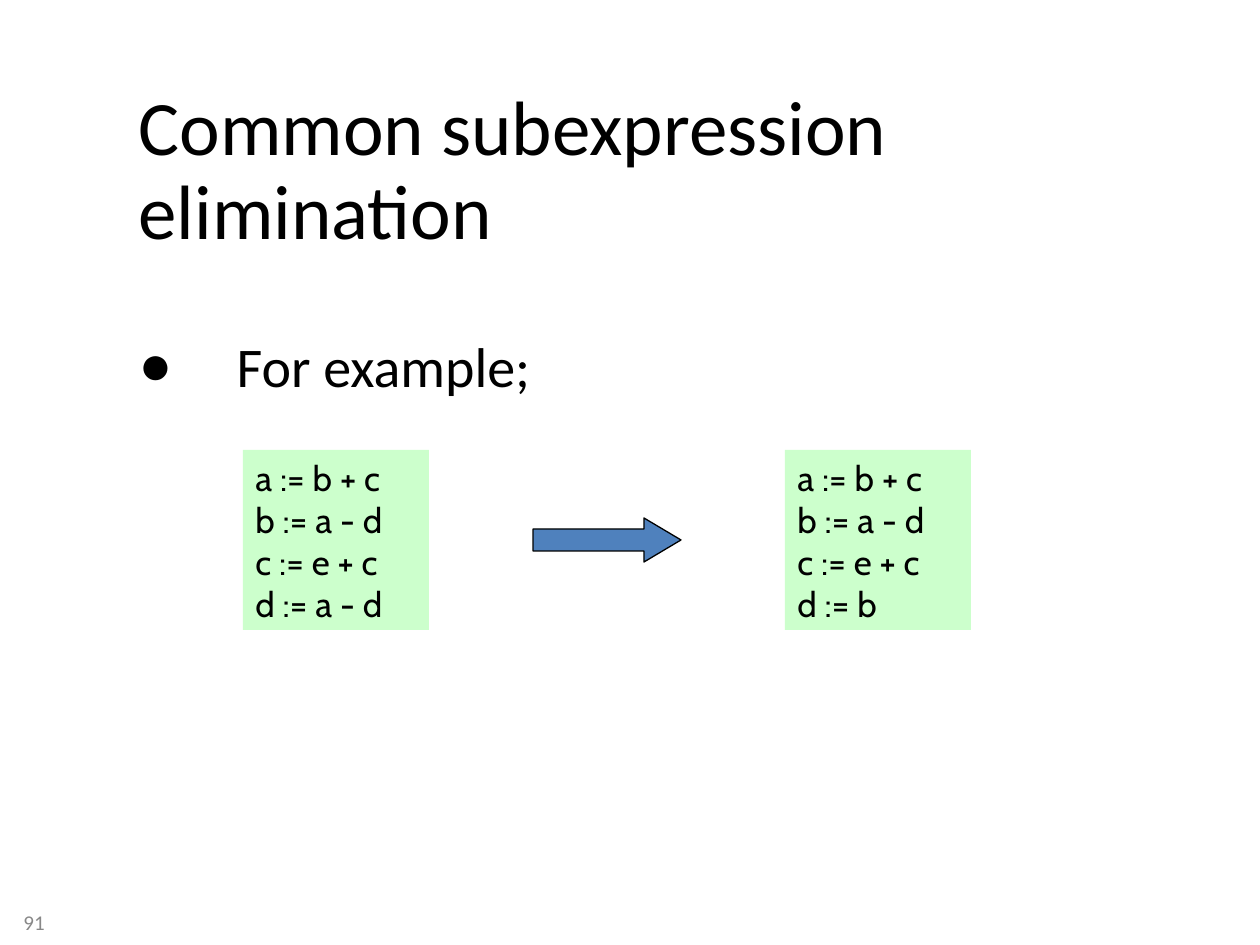
from lxml.etree import SubElement
from pptx import Presentation
from pptx.dml.color import RGBColor
from pptx.enum.shapes import MSO_SHAPE as Preset
from pptx.enum.text import MSO_ANCHOR as Anchor, MSO_AUTO_SIZE as AutoSize, PP_ALIGN as Align
from pptx.oxml.ns import qn
from pptx.util import Emu, Pt

EMU_PER_PX = 914400 / 126
BLACK = RGBColor(0x00, 0x00, 0x00)
GRAY = RGBColor(0x88, 0x88, 0x88)
GREEN = RGBColor(0xCC, 0xFF, 0xCC)
BLUE = RGBColor(0x4F, 0x81, 0xBD)


def px(length):
    return Emu(round(length * EMU_PER_PX))


class SlideBuilder:
    text_font = "Calibri"
    code_font = "Cabin"

    def __init__(self, slide):
        self.slide = slide

    def fill_text(self, shape, lines, size, font=text_font, color=BLACK, anchor=Anchor.TOP):
        frame = shape.text_frame
        frame.word_wrap = True
        frame.auto_size = AutoSize.NONE
        frame.vertical_anchor = anchor
        for index, line in enumerate(lines):
            paragraph = frame.add_paragraph() if index else frame.paragraphs[0]
            paragraph.alignment = Align.LEFT
            paragraph.space_before = Pt(0)
            run = paragraph.add_run()
            run.text = line
            run.font.size = Pt(size)
            run.font.name = font
            run.font.color.rgb = color
        return frame

    def place(self, shape, box):
        shape.left, shape.top, shape.width, shape.height = map(px, box)

    def title(self, text, box):
        title = self.slide.shapes.title
        self.place(title, box)
        frame = self.fill_text(title, [text], 44, anchor=Anchor.BOTTOM)
        frame.paragraphs[0].line_spacing = 0.9

    def bullets(self, items, box, indent):
        body = self.slide.placeholders[1]
        self.place(body, box)
        for paragraph in self.fill_text(body, items, 32).paragraphs:
            properties = paragraph._p.get_or_add_pPr()
            properties.set("marL", str(px(indent)))
            properties.set("indent", str(-px(indent)))
            SubElement(properties, qn("a:buChar"), char="●")

    def page_number(self, number, box):
        label = self.slide.shapes.add_textbox(*map(px, box))
        self.fill_text(label, [number], 12, color=GRAY, anchor=Anchor.BOTTOM)

    def preset(self, kind, box, fill):
        shape = self.slide.shapes.add_shape(kind, *map(px, box))
        shape.shadow.inherit = False
        shape.fill.solid()
        shape.fill.fore_color.rgb = fill
        return shape

    def code_block(self, lines, box):
        block = self.preset(Preset.RECTANGLE, box, GREEN)
        block.line.fill.background()
        self.fill_text(block, lines, 20, self.code_font)

    def arrow(self, box):
        arrow = self.preset(Preset.RIGHT_ARROW, box, BLUE)
        arrow.adjustments[1] = 0.84
        arrow.line.color.rgb = BLACK
        arrow.line.width = Pt(0.75)


def main():
    deck = Presentation()
    deck.slide_width, deck.slide_height = px(1260), px(945)
    builder = SlideBuilder(deck.slides.add_slide(deck.slide_layouts[1]))

    builder.page_number("91", (11, 874, 81, 67))
    builder.title("Common subexpression elimination", (126, 105, 1102, 157))
    builder.bullets(["For example;"], (126, 325, 1102, 514), indent=98)

    shared_lines = ["a := b + c", "b := a - d", "c := e + c"]
    for left, last_line in ((243, "d := a - d"), (785, "d := b")):
        builder.code_block(shared_lines + [last_line], (left, 450, 186, 180))
    builder.arrow((533, 518, 148, 44))

    deck.save("out.pptx")


if __name__ == "__main__":
    main()
